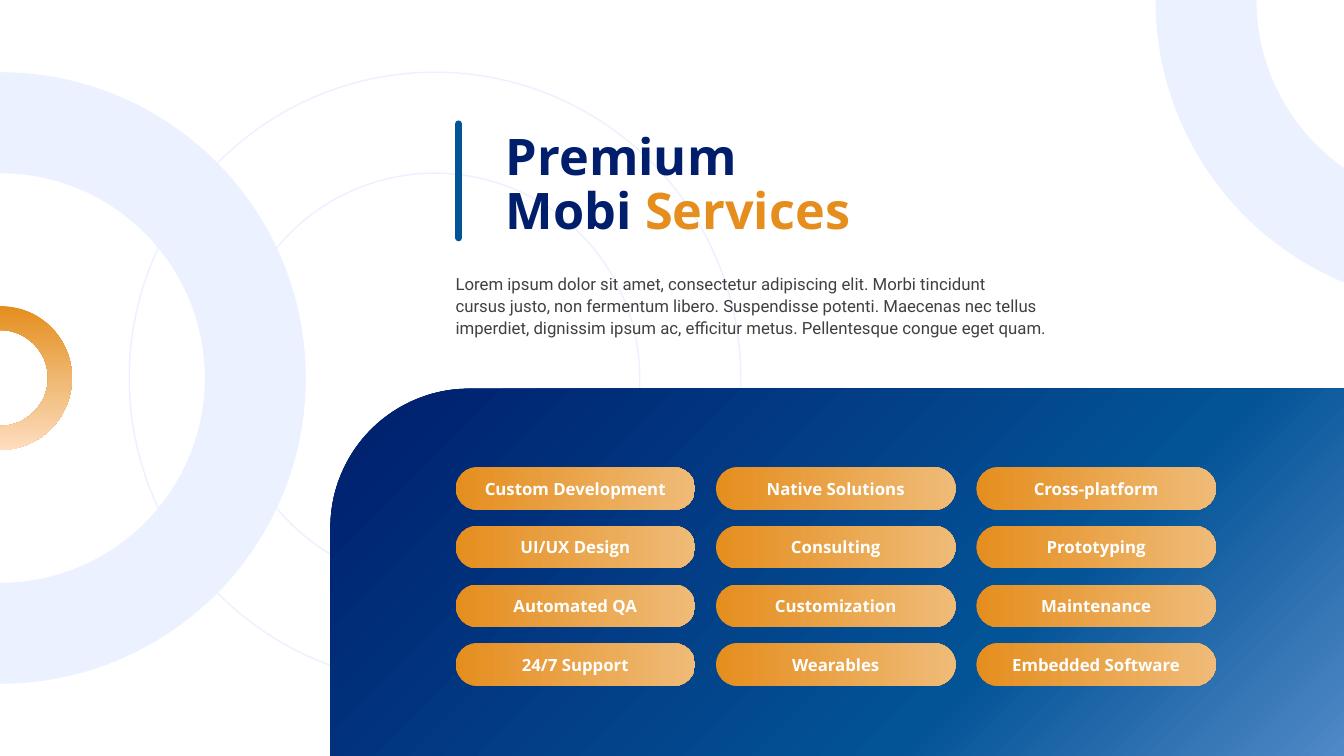
from dataclasses import dataclass
from math import acos, ceil, cos, pi, sin, tan

from lxml.etree import SubElement
from pptx import Presentation
from pptx.dml.color import RGBColor
from pptx.enum.shapes import MSO_CONNECTOR, MSO_SHAPE
from pptx.enum.text import MSO_ANCHOR, MSO_AUTO_SIZE, PP_ALIGN
from pptx.oxml.ns import qn
from pptx.shapes.autoshape import Shape
from pptx.shapes.shapetree import SlideShapes
from pptx.text.text import TextFrame
from pptx.util import Pt

WHITE = RGBColor(0xFF, 0xFF, 0xFF)
PALE_BLUE = RGBColor(0xEC, 0xF1, 0xFF)
NAVY = RGBColor(0x00, 0x1E, 0x6C)
BLUE = RGBColor(0x03, 0x53, 0x97)
SKY = RGBColor(0x50, 0x89, 0xC6)
ORANGE = RGBColor(0xE5, 0x8E, 0x1E)
LIGHT_ORANGE = RGBColor(0xEF, 0xBB, 0x78)
PEACH = RGBColor(0xFF, 0xDD, 0xBF)
GREY = RGBColor(0x40, 0x40, 0x40)
HEADING_FONT, BODY_FONT = "Open Sans", "Roboto"

SLIDE_WIDTH, SLIDE_HEIGHT = 960, 540
OUTER, INNER = 218.4, 146.3

SERVICES = (
    ("Custom Development", "Native Solutions", "Cross-platform"),
    ("UI/UX Design", "Consulting", "Prototyping"),
    ("Automated QA", "Customization", "Maintenance"),
    ("24/7 Support", "Wearables", "Embedded Software"),
)
PILL_LEFT, PILL_TOP = 325.4, 333.8
PILL_WIDTH, PILL_HEIGHT = 171.2, 30.4
COLUMN_PITCH, ROW_PITCH = 186, 41.9


@dataclass(frozen=True)
class Gradient:
    stops: tuple[tuple[int, RGBColor], ...]
    angle: int


@dataclass(frozen=True)
class CutRing:
    """A ring that is cut off by the vertical slide edge at edge_x."""
    center_x: float
    center_y: float
    outer: float
    inner: float
    start_angle: float
    edge_x: float
    fill: RGBColor | Gradient


LEFT_RING = CutRing(0, 270, OUTER, INNER, -pi / 2, 0, PALE_BLUE)
ORANGE_RING = CutRing(0, 270, 51.4, 34.3, -pi / 2, 0,
                      Gradient(((0, ORANGE), (55, LIGHT_ORANGE), (100, PEACH)), 90))
CORNER_RING = CutRing(1043.8, 0, OUTER, INNER, pi, SLIDE_WIDTH, PALE_BLUE)
PANEL_FILL = Gradient(((0, NAVY), (67, BLUE), (100, SKY)), 135)
PILL_FILL = Gradient(((0, ORANGE), (100, LIGHT_ORANGE)), 0)


def paint(shape: Shape, fill: RGBColor | Gradient) -> None:
    shape.shadow.inherit = False
    shape.line.fill.background()
    if isinstance(fill, RGBColor):
        shape.fill.solid()
        shape.fill.fore_color.rgb = fill
        return
    shape.fill.background()
    properties = shape.element.spPr
    gradient = SubElement(properties, qn("a:gradFill"), rotWithShape="1")
    stops = SubElement(gradient, qn("a:gsLst"))
    for position, color in fill.stops:
        stop = SubElement(stops, qn("a:gs"), pos=str(position * 1000))
        SubElement(stop, qn("a:srgbClr"), val=str(color))
    SubElement(gradient, qn("a:lin"), ang=str(fill.angle * 60000), scaled="0")
    properties.replace(properties.find(qn("a:noFill")), gradient)


def arc_points(ring: CutRing, radius: float) -> list[tuple[int, int]]:
    """Return the start of an arc, then two handles and an end for each Bezier curve."""
    sweep = acos((ring.edge_x - ring.center_x) / radius) - ring.start_angle
    curves = ceil(abs(sweep) / (pi / 2) - 0.01)
    step = sweep / curves
    handle = 4 / 3 * tan(step / 4)

    def point(angle: float, tangent: float = 0) -> tuple[int, int]:
        return (Pt(ring.center_x + radius * (cos(angle) - tangent * sin(angle))),
                Pt(ring.center_y + radius * (sin(angle) + tangent * cos(angle))))

    points = [point(ring.start_angle)]
    for curve in range(curves):
        start = ring.start_angle + curve * step
        points += [point(start, handle), point(start + step, -handle), point(start + step)]
    return points


def draw_cut_ring(shapes: SlideShapes, ring: CutRing) -> None:
    outer, inner = arc_points(ring, ring.outer), arc_points(ring, ring.inner)[::-1]
    builder = shapes.build_freeform(*outer[0])
    builder.add_line_segments(outer[1:] + inner, close=True)
    shape = builder.convert_to_shape()
    segments = list(shape.element.iter(qn("a:lnTo")))
    joint = len(outer) - 1
    curved = segments[:joint] + segments[joint + 1:]
    for first in range(0, len(curved), 3):
        bezier = SubElement(curved[first].getparent(), qn("a:cubicBezTo"))
        curved[first].addprevious(bezier)
        for segment in curved[first:first + 3]:
            bezier.append(segment[0])
            segment.getparent().remove(segment)
    paint(shape, ring.fill)


def draw_outlined_ring(shapes: SlideShapes) -> None:
    ring = shapes.add_shape(MSO_SHAPE.DONUT, Pt(310.7 - OUTER), Pt(270 - OUTER),
                            Pt(2 * OUTER), Pt(2 * OUTER))
    ring.adjustments[0] = (OUTER - INNER) / (2 * OUTER)
    ring.shadow.inherit = False
    ring.fill.background()
    ring.line.color.rgb = PALE_BLUE
    ring.line.width = Pt(1)


def format_frame(frame: TextFrame, anchor: MSO_ANCHOR) -> None:
    frame.margin_left = frame.margin_top = frame.margin_right = frame.margin_bottom = 0
    frame.word_wrap = True
    frame.auto_size = MSO_AUTO_SIZE.NONE
    frame.vertical_anchor = anchor


def place(shape: Shape, left: float, top: float, width: float, height: float) -> None:
    shape.left, shape.top, shape.width, shape.height = Pt(left), Pt(top), Pt(width), Pt(height)


def write_heading(shapes: SlideShapes) -> None:
    title = shapes.title
    shapes.element.append(title.element)
    place(title, 361.4, 93.3, 394.6, 79.2)
    format_frame(title.text_frame, MSO_ANCHOR.MIDDLE)
    heading = title.text_frame.paragraphs[0]
    heading.text = "Premium\vMobi "
    heading.alignment = PP_ALIGN.LEFT
    heading.line_spacing = 0.9
    accent = heading.add_run()
    accent.text = "Services"
    heading.font.name = HEADING_FONT
    heading.font.size = Pt(36)
    heading.font.bold = True
    for run in heading.runs:
        run.font.color.rgb = NAVY
    accent.font.color.rgb = ORANGE


def write_intro(shapes: SlideShapes) -> None:
    body = shapes.parent.placeholders[1]
    shapes.element.append(body.element)
    place(body, 325.4, 194.1, 430.6, 50.4)
    format_frame(body.text_frame, MSO_ANCHOR.TOP)
    intro = body.text_frame.paragraphs[0]
    intro.text = ("Lorem ipsum dolor sit amet, consectetur adipiscing elit. Morbi tincidunt\v"
                  "cursus justo, non fermentum libero. Suspendisse potenti. Maecenas nec tellus "
                  "imperdiet, dignissim ipsum ac, efficitur metus. Pellentesque congue eget quam.")
    settings = intro._p.get_or_add_pPr()
    settings.set("marL", "0")
    settings.set("indent", "0")
    SubElement(settings, qn("a:buNone"))
    intro.line_spacing = 1.1
    intro.space_before = Pt(0)
    intro.font.name = BODY_FONT
    intro.font.size = Pt(12)
    intro.font.color.rgb = GREY


def draw_heading_bar(shapes: SlideShapes) -> None:
    bar = shapes.add_connector(MSO_CONNECTOR.STRAIGHT, Pt(327.6), Pt(88.5), Pt(327.6), Pt(169.9))
    bar.line.color.rgb = BLUE
    bar.line.width = Pt(5)
    bar.element.spPr.find(qn("a:ln")).set("cap", "rnd")
    SubElement(bar.element.spPr, qn("a:effectLst"))


def draw_panel(shapes: SlideShapes) -> None:
    left, top = 236, 277.6
    panel = shapes.add_shape(MSO_SHAPE.ROUND_1_RECTANGLE, Pt(left), Pt(top),
                             Pt(SLIDE_WIDTH - left), Pt(SLIDE_HEIGHT - top))
    panel.adjustments[0] = 0.378
    panel.element.spPr.xfrm.set("flipH", "1")
    paint(panel, PANEL_FILL)


def draw_service(shapes: SlideShapes, service: str, column: int, row: int) -> None:
    pill = shapes.add_shape(MSO_SHAPE.ROUNDED_RECTANGLE,
                            Pt(PILL_LEFT + column * COLUMN_PITCH), Pt(PILL_TOP + row * ROW_PITCH),
                            Pt(PILL_WIDTH), Pt(PILL_HEIGHT))
    pill.adjustments[0] = 0.5
    paint(pill, PILL_FILL)
    format_frame(pill.text_frame, MSO_ANCHOR.MIDDLE)
    label = pill.text_frame.paragraphs[0]
    label.text = service
    label.alignment = PP_ALIGN.CENTER
    label.font.name = HEADING_FONT
    label.font.size = Pt(12)
    label.font.bold = True
    label.font.color.rgb = WHITE


def main() -> None:
    deck = Presentation()
    deck.slide_width, deck.slide_height = Pt(SLIDE_WIDTH), Pt(SLIDE_HEIGHT)
    shapes = deck.slides.add_slide(deck.slide_layouts[1]).shapes
    draw_outlined_ring(shapes)
    draw_cut_ring(shapes, LEFT_RING)
    write_heading(shapes)
    write_intro(shapes)
    draw_cut_ring(shapes, ORANGE_RING)
    draw_heading_bar(shapes)
    draw_panel(shapes)
    for row, services in enumerate(SERVICES):
        for column, service in enumerate(services):
            draw_service(shapes, service, column, row)
    draw_cut_ring(shapes, CORNER_RING)
    deck.save("out.pptx")


if __name__ == "__main__":
    main()
